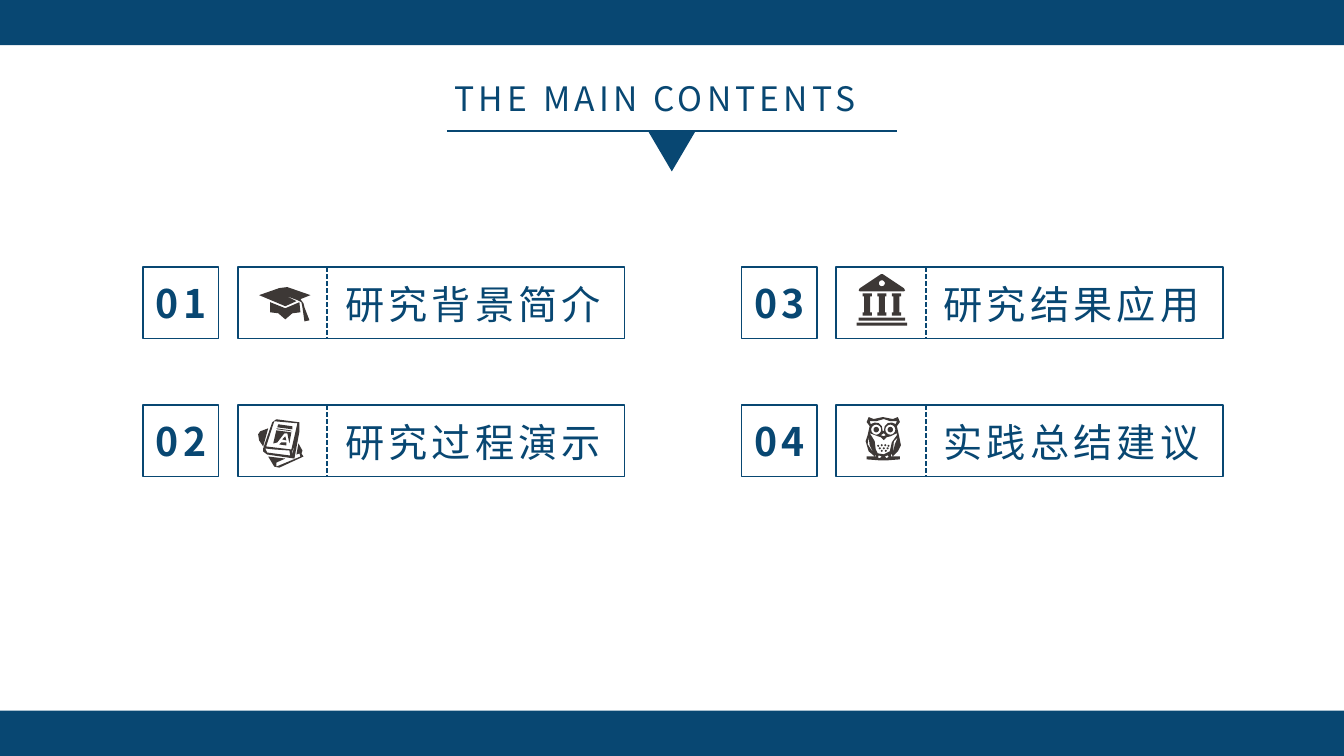
"""Build a contents slide with four numbered, icon-marked sections."""
from math import cos, pi, sin

from lxml import etree
from pptx import Presentation
from pptx.dml.color import RGBColor
from pptx.enum import dml, shapes, text
from pptx.oxml.ns import qn
from pptx.util import Cm, Pt

NAVY = RGBColor(0x08, 0x47, 0x72)
CHARCOAL = RGBColor(0x3D, 0x38, 0x36)
FONT = "Noto Sans CJK SC"


def write(box, words, size, bold=False):
    frame = box.text_frame
    frame.text = words
    frame.word_wrap = True
    frame.auto_size = text.MSO_AUTO_SIZE.SHAPE_TO_FIT_TEXT
    para = frame.paragraphs[0]
    para.alignment = text.PP_ALIGN.LEFT
    font = para.font
    font.size, font.bold, font.name = Pt(size), bold, FONT
    font.color.rgb = NAVY
    props = para._p.pPr.find(qn("a:defRPr"))
    props.set("spc", "300")
    etree.SubElement(props, qn("a:ea"), typeface=FONT)


def circle(x, y, radius):
    angles = [step * pi / 8 for step in range(16)]
    return [(x + radius * cos(a), y + radius * sin(a)) for a in angles]


CAP = [
    [(20, 2), (28, 1), (51, 9), (41, 13), (44, 17), (45, 21), (50, 34), (45, 35),
     (43, 21), (42, 16), (38, 14), (25, 9), (37, 15), (26, 20), (0, 9)],
    [(11, 16), (11, 26), (19, 27), (26, 33), (33, 27), (41, 26), (40, 16), (26, 22)],
]
BOOKS = [
    [(15, 4), (19, 1), (42, 4), (42, 13), (37, 40), (10, 36), (6, 33), (6, 30)],
    [(17, 3), (9, 28), (34, 31), (40, 5)],
    [(37, 25), (35, 33), (35, 37)],
    [(8, 30), (10, 34), (33, 37), (32, 32), (17, 31)],
    [(21, 6), (20, 9), (35, 11), (35, 8)],
    [(19, 10), (20, 11), (35, 13), (33, 12)],
    [(1, 16), (2, 22), (6, 28), (11, 10), (3, 13)],
    [(16, 25), (20, 24), (27, 15), (30, 15), (32, 25), (34, 14), (19, 12)],
    [(28, 18), (25, 21), (29, 22)],
    [(22, 26), (29, 27), (29, 24), (24, 24)],
    [(41, 25), (39, 36), (42, 35), (43, 38), (19, 48), (19, 44), (28, 40),
     (11, 38), (17, 48), (22, 49), (46, 38), (44, 35), (45, 32)],
]
PILLAR = [(-4.5, 19), (4.5, 19), (4.5, 22), (3, 22), (3, 38), (4.5, 38),
          (4.5, 41), (-4.5, 41), (-4.5, 38), (-3, 38), (-3, 22), (-4.5, 22)]
MUSEUM = [
    [(2, 16), (3, 14), (24, 0), (26, 0), (47, 14), (48, 16), (47, 17), (3, 17)],
    circle(25, 9, 3),
    [(2, 43), (48, 43), (48, 46), (2, 46)],
    [(0, 48), (50, 48), (50, 51), (0, 51)],
    *[[(centre + x, y) for x, y in PILLAR] for centre in (10.5, 25, 39.5)],
]
OWL_DOTS = [(13.5, 28.5), (17, 28), (20.5, 28), (23.7, 28.5), (15, 31),
            (19, 31), (22.8, 31), (17, 33.5), (21, 33.5)]
OWL = [
    [(4, 0), (9, 2), (18, 0), (28, 2), (33, 0), (35, 5), (32, 9), (34, 18), (36, 28),
     (33, 34), (28, 39), (26, 36), (26, 39), (35, 39), (35, 42), (22, 43), (15, 43),
     (2, 42), (2, 39), (11, 39), (12, 36), (10, 39), (4, 34), (1, 24), (3, 18),
     (5, 9), (2, 5)],
    [(5, 4), (6, 7), (10, 5.5), (14, 6), (17, 9), (18, 14), (19, 14), (20, 9),
     (23, 6), (27, 5.5), (31, 7), (32, 4), (25, 4), (19, 2), (12, 4)],
    [(16, 18), (19, 19), (21, 18), (19, 16)],
    [(26, 19), (22, 20), (19, 23), (16, 20), (13, 19), (5, 16), (7, 19), (10, 24),
     (11, 32), (13, 36), (19, 37), (25, 34), (27, 25), (32, 18), (32, 16)],
    [(3, 27), (9, 36), (5, 28), (4, 20)],
    [(29, 24), (28, 36), (30, 27), (33, 20)],
    [(14, 38), (13, 40), (15, 41), (17, 39)],
    [(20, 39), (22, 41), (24, 39), (23, 38)],
    *[circle(x, 12.5, radius) for x in (11.5, 25.5) for radius in (5, 2.7)],
    *[circle(x, y, 1) for x, y in OWL_DOTS],
]
SECTIONS = [
    ("研究背景简介", CAP, 2.92, 0.48),
    ("研究过程演示", BOOKS, 2.87, 0.33),
    ("研究结果应用", MUSEUM, 2.9, 0.18),
    ("实践总结建议", OWL, 3.1, 0.3),
]

deck = Presentation()
deck.slide_width, deck.slide_height = Cm(33.87), Cm(19.05)
page = deck.slides.add_slide(deck.slide_layouts[5])

title = page.shapes.title
title.left, title.top, title.width, title.height = Cm(11.2), Cm(1.83), Cm(11.48), Cm(1.27)
write(title, "THE MAIN CONTENTS", 24)

solids = [
    (shapes.MSO_SHAPE.RECTANGLE, 0, 0, 33.87, 1.14, 0),
    (shapes.MSO_SHAPE.RECTANGLE, 0, 17.91, 33.87, 1.14, 0),
    (shapes.MSO_SHAPE.ISOSCELES_TRIANGLE, 16.33, 3.3, 1.2, 1.02, 180),
]
for kind, left, top, width, height, turn in solids:
    solid = page.shapes.add_shape(kind, Cm(left), Cm(top), Cm(width), Cm(height))
    solid.rotation = turn
    solid.shadow.inherit = False
    solid.fill.solid()
    solid.fill.fore_color.rgb = NAVY
    solid.line.fill.background()

rules = [(11.26, 3.3, 22.61, 3.3, 1.5, None)]
for index, (label, contours, icon_left, icon_top) in enumerate(SECTIONS):
    column, row = divmod(index, 2)
    left, top = 3.61 + 15.08 * column, 6.73 + 3.48 * row

    for offset, width in ((0, 1.9), (2.38, 9.75)):
        border = page.shapes.add_shape(
            shapes.MSO_SHAPE.RECTANGLE, Cm(left + offset), Cm(top), Cm(width), Cm(1.8))
        border.shadow.inherit = False
        border.fill.background()
        border.line.color.rgb = NAVY
        border.line.width = Pt(1.25)

    number = page.shapes.add_textbox(Cm(left + 0.07), Cm(top + 0.18), Cm(2.46), Cm(1.45))
    write(number, f"{index + 1:02}", 28, True)
    name = page.shapes.add_textbox(Cm(left + 4.84), Cm(top + 0.2), Cm(7.87), Cm(1.45))
    write(name, label, 28)

    outlines = [[(10 * x, 10 * y) for x, y in contour] for contour in contours]
    pen = page.shapes.build_freeform(*outlines[0][0], scale=Cm(2.54) / 1000)
    pen.add_line_segments(outlines[0][1:])
    for outline in outlines[1:]:
        pen.move_to(*outline[0])
        pen.add_line_segments(outline[1:])
    icon = pen.convert_to_shape(Cm(left + icon_left), Cm(top + icon_top))
    icon.shadow.inherit = False
    icon.fill.solid()
    icon.fill.fore_color.rgb = CHARCOAL
    icon.line.fill.background()

    rules.append((left + 4.64, top, left + 4.64, top + 1.8, 1.25, dml.MSO_LINE.SQUARE_DOT))

for x1, y1, x2, y2, weight, dash in rules:
    rule = page.shapes.add_connector(
        shapes.MSO_CONNECTOR.STRAIGHT, Cm(x1), Cm(y1), Cm(x2), Cm(y2))
    rule.line.color.rgb = NAVY
    rule.line.width = Pt(weight)
    rule.line.dash_style = dash
    etree.SubElement(rule._element.spPr, qn("a:effectLst"))

deck.save("out.pptx")
